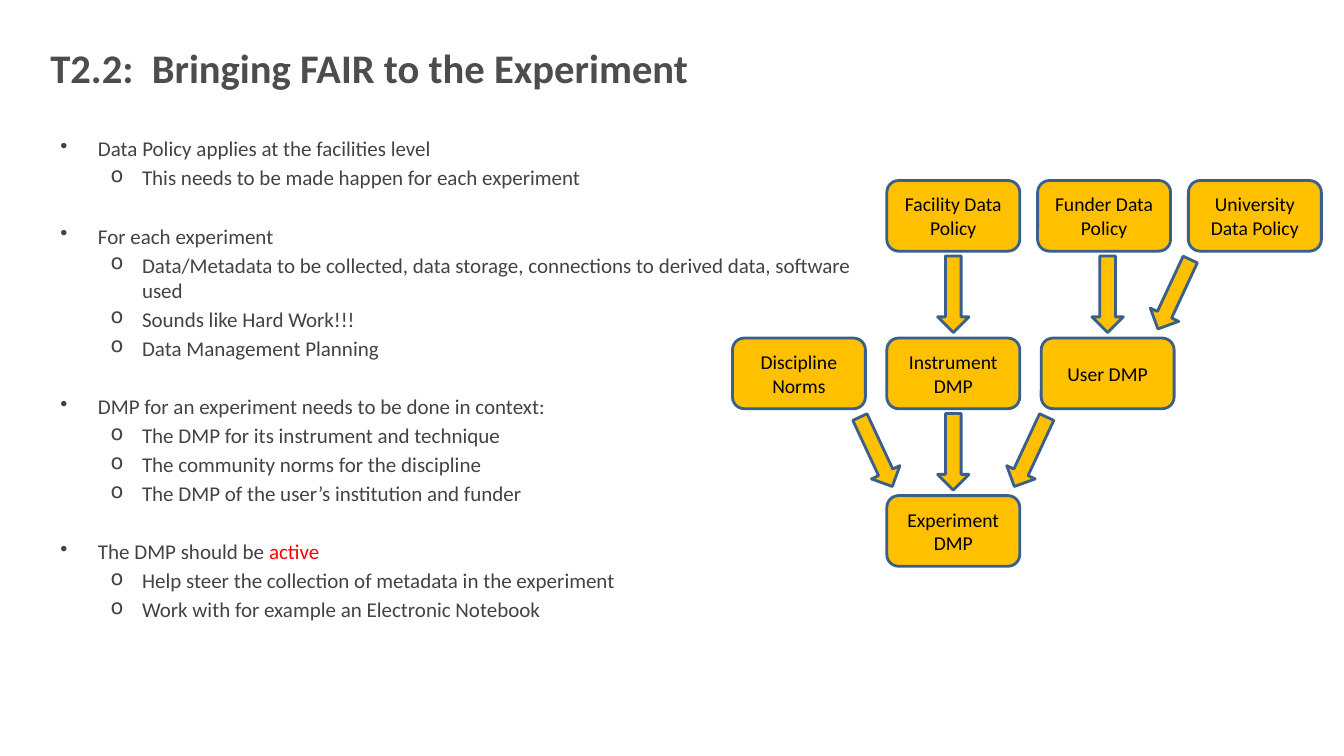
from lxml.etree import SubElement
from pptx import Presentation
from pptx.dml.color import RGBColor
from pptx.enum.shapes import MSO_SHAPE
from pptx.enum.text import MSO_ANCHOR, PP_ALIGN
from pptx.oxml.ns import qn
from pptx.util import Cm, Pt

TITLE_GREY, TEXT_GREY = "4C4D4F", "434342"
AMBER, BLUE, BLACK, RED = "FFC000", "3A5F8C", "000000", "FF0000"

# Origin and steps of the diagram grid, in cm; column 0 holds the instrument
LEFT, TOP = 22.35, 4.55
COL_STEP, POLICY_STEP, ROW_STEP = 3.89, 3.8, 3.97
BOX_W, BOX_H = 3.35, 1.78
ARROW_W, ARROW_H, ARROW_DROP = 0.79, 1.93, 1.9

# Each group is a heading, given as runs, and its sub-points
GROUPS = [
    ([("Data Policy applies at the facilities level", TEXT_GREY)],
     ["This needs to be made happen for each experiment"]),
    ([("For each experiment", TEXT_GREY)],
     ["Data/Metadata to be collected, data storage, connections to derived data, software used",
      "Sounds like Hard Work!!!",
      "Data Management Planning"]),
    ([("DMP for an experiment needs to be done in context:", TEXT_GREY)],
     ["The DMP for its instrument and technique",
      "The community norms for the discipline",
      "The DMP of the user’s institution and funder"]),
    ([("The DMP should be ", TEXT_GREY), ("active", RED)],
     ["Help steer the collection of metadata in the experiment",
      "Work with for example an Electronic Notebook"]),
]
POLICIES = ["Facility Data Policy", "Funder Data Policy", "University Data Policy"]
# Label, column, row
PLANS = [("Discipline Norms", -1, 1), ("Instrument DMP", 0, 1),
         ("User DMP", 1, 1), ("Experiment DMP", 0, 2)]
# Column, row above, rotation
ARROWS = [(0, 0, 0), (1, 0, 0), (1.43, 0, 25),
          (-0.5, 1, -25), (0, 1, 0), (0.5, 1, 25)]


def rgb(color):
    return RGBColor.from_string(color)


def add_run(p, text, size=15, color=TEXT_GREY, bold=False):
    r = p.add_run()
    r.text = text
    r.font.name = "Calibri"
    r.font.size = Pt(size)
    r.font.bold = bold
    r.font.color.rgb = rgb(color)


def set_bullet(p, char, left, hang):
    pPr = p._p.get_or_add_pPr()
    pPr.set("marL", str(Cm(left)))
    pPr.set("indent", str(-Cm(hang)))
    SubElement(pPr, qn("a:buChar")).set("char", char)


def add_textbox(slide, left, top, width, height):
    tf = slide.shapes.add_textbox(Cm(left), Cm(top), Cm(width), Cm(height)).text_frame
    tf.word_wrap = True
    return tf


def add_title(slide, text):
    tf = add_textbox(slide, 1.27, 1.07, 20.3, 1.24)
    tf.margin_left = tf.margin_right = tf.margin_top = tf.margin_bottom = 0
    tf.vertical_anchor = MSO_ANCHOR.MIDDLE
    add_run(tf.paragraphs[0], text, size=29, color=TITLE_GREY, bold=True)


def add_outline(slide, groups):
    tf = add_textbox(slide, 1.27, 3.3, 20.65, 14.27)
    for i, (heading, points) in enumerate(groups):
        p = tf.add_paragraph() if i else tf.paragraphs[0]
        if i:
            p.space_before = Pt(23.7)
        set_bullet(p, "•", 0.95, 0.95)
        for text, color in heading:
            add_run(p, text, color=color)
        for point in points:
            p = tf.add_paragraph()
            p.level = 1
            p.space_before = Pt(2.7)
            set_bullet(p, "o", 2.06, 0.79)
            add_run(p, point)


def add_amber_shape(slide, kind, left, top, width, height):
    sp = slide.shapes.add_shape(kind, Cm(left), Cm(top), Cm(width), Cm(height))
    sp.shadow.inherit = False
    sp.fill.solid()
    sp.fill.fore_color.rgb = rgb(AMBER)
    sp.line.color.rgb = rgb(BLUE)
    sp.line.width = Pt(2)
    return sp


def add_box(slide, text, left, row):
    sp = add_amber_shape(slide, MSO_SHAPE.ROUNDED_RECTANGLE,
                         left, TOP + row * ROW_STEP, BOX_W, BOX_H)
    tf = sp.text_frame
    tf.word_wrap = True
    tf.vertical_anchor = MSO_ANCHOR.MIDDLE
    p = tf.paragraphs[0]
    p.alignment = PP_ALIGN.CENTER
    add_run(p, text, size=14, color=BLACK)


def add_arrow(slide, col, row, rotation):
    """Place a down arrow under a row, centred on a (fractional) column."""
    left = LEFT + col * COL_STEP + (BOX_W - ARROW_W) / 2
    sp = add_amber_shape(slide, MSO_SHAPE.DOWN_ARROW, left,
                         TOP + row * ROW_STEP + ARROW_DROP, ARROW_W, ARROW_H)
    sp.rotation = rotation


def main():
    prs = Presentation()
    prs.slide_width, prs.slide_height = Cm(33.87), Cm(19.05)
    slide = prs.slides.add_slide(prs.slide_layouts[6])
    add_title(slide, "T2.2:  Bringing FAIR to the Experiment")
    add_outline(slide, GROUPS)
    for i, policy in enumerate(POLICIES):
        add_box(slide, policy, LEFT + i * POLICY_STEP, 0)
    for text, col, row in PLANS:
        add_box(slide, text, LEFT + col * COL_STEP, row)
    for col, row, rotation in ARROWS:
        add_arrow(slide, col, row, rotation)
    prs.save("out.pptx")


if __name__ == "__main__":
    main()
